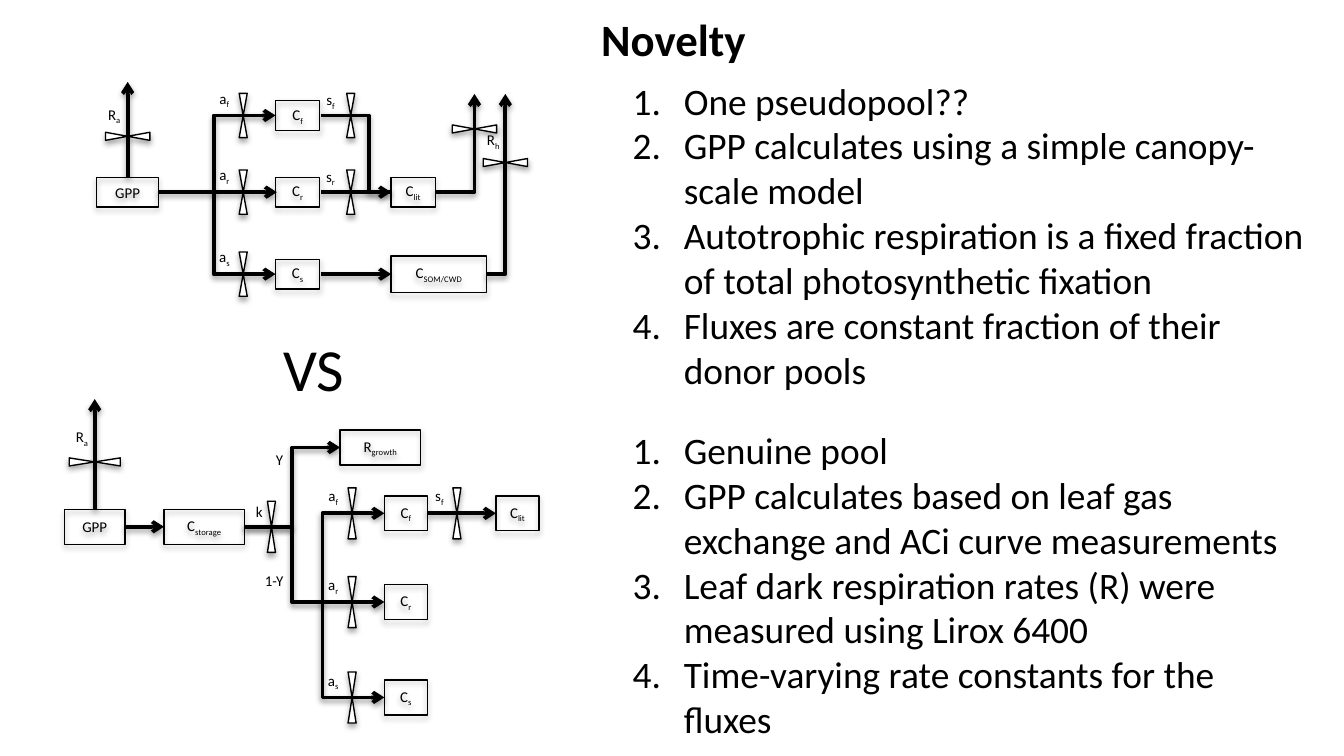
import pptx
import pptx.util
import pptx.dml.color
import pptx.enum.shapes
import pptx.enum.text
import pptx.oxml
from lxml import etree
from pptx.oxml.ns import qn

Inches, Pt = pptx.util.Inches, pptx.util.Pt
SHAPE = pptx.enum.shapes.MSO_SHAPE
CONN = pptx.enum.shapes.MSO_CONNECTOR
ALIGN = pptx.enum.text.PP_ALIGN
ANCHOR = pptx.enum.text.MSO_ANCHOR
COLORS = {"ink": "000000", "valve": "FFFFFF"}
FONT = "Calibri"


def rgb(name):
    return pptx.dml.color.RGBColor.from_string(COLORS[name])


def style(font, size, bold=False):
    font.name, font.size, font.bold = FONT, Pt(size), bold
    font.color.rgb = rgb("ink")


def outline(s, width):
    s.line.color.rgb = rgb("ink")
    s.line.width = Pt(width)


def add_shadow(s, alpha, dist):
    effects = etree.SubElement(s._element.spPr, qn("a:effectLst"))
    shadow = etree.SubElement(effects, qn("a:outerShdw"), blurRad=str(Pt(3.1)),
                              dist=str(Pt(dist)), dir="5400000", rotWithShape="0")
    color = etree.SubElement(shadow, qn("a:srgbClr"), val=COLORS["ink"])
    etree.SubElement(color, qn("a:alpha"), val=str(alpha * 1000))


def write_symbol(s, symbol):
    """Centre a symbol such as C_f, where _ starts the subscript."""
    tf = s.text_frame
    tf.margin_left = tf.margin_right = tf.margin_top = tf.margin_bottom = 0
    tf.word_wrap = False
    tf.vertical_anchor = ANCHOR.MIDDLE
    p = tf.paragraphs[0]
    p.alignment = ALIGN.CENTER
    for i, part in enumerate(symbol.split("_")):
        r = p.add_run()
        r.text = part
        style(r.font, 8)
        if i:
            r.font._element.set("baseline", "-25000")


class Diagram:
    """A grouped flow diagram; positions are inches from its top left corner."""

    def __init__(self, slide, x, y, box_h, valve_len):
        self.sp = slide.shapes.add_group_shape().shapes
        self.x, self.y = x, y
        self.box_h, self.valve_len = box_h, valve_len

    def at(self, x, y):
        return Inches(self.x + x), Inches(self.y + y)

    def pool(self, symbol, x, cy, w, h=None):
        h = h or self.box_h
        s = self.sp.add_shape(SHAPE.RECTANGLE, *self.at(x, cy - h / 2), Inches(w), Inches(h))
        s.fill.background()
        outline(s, 0.75)
        add_shadow(s, 35, 1.8)
        write_symbol(s, symbol)

    def valve(self, cx, cy, rotation=0):
        w, h = 0.06, self.valve_len
        s = self.sp.add_shape(SHAPE.FLOWCHART_COLLATE, *self.at(cx - w / 2, cy - h / 2),
                              Inches(w), Inches(h))
        s.rotation = rotation
        s.fill.solid()
        s.fill.fore_color.rgb = rgb("valve")
        outline(s, 0.75)
        add_shadow(s, 35, 1.8)

    def label(self, symbol, cx, cy):
        w, h = 0.3, 0.2
        s = self.sp.add_textbox(*self.at(cx - w / 2, cy - h / 2), Inches(w), Inches(h))
        write_symbol(s, symbol)

    def flow(self, x1, y1, x2, y2, kind=CONN.STRAIGHT, arrow=True):
        c = self.sp.add_connector(kind, *self.at(x1, y1), *self.at(x2, y2))
        outline(c, 2)
        if arrow:
            etree.SubElement(c.line._get_or_add_ln(), qn("a:tailEnd"), type="arrow")
        add_shadow(c, 38, 1.6)
        return c

    def elbow(self, x1, y1, x2, y2, turn, arrow=True):
        """Go across, then along y at the share turn of the width, then across."""
        c = self.flow(x1, y1, x2, y2, CONN.ELBOW, arrow)
        guides = c._element.spPr.prstGeom.get_or_add_avLst()
        etree.SubElement(guides, qn("a:gd"), name="adj1", fmla=f"val {round(turn * 100000)}")

    def corner(self, x1, y1, x2, y2):
        """Go across, then up or down."""
        c = self.flow(x1, y1, x2, y2, CONN.ELBOW)
        c._element.spPr.prstGeom.set("prst", "bentConnector2")
        return c

    def upright_corner(self, x1, y1, x2, y2):
        """Go up or down, then across: a corner turned by a quarter."""
        cx, cy = (x1 + x2) / 2, (y1 + y2) / 2
        half_w, half_h = abs(y2 - y1) / 2, (x2 - x1) / 2
        down = y2 > y1
        if down:
            half_h = -half_h
        c = self.corner(cx + half_w, cy + half_h, cx - half_w, cy - half_h)
        c._element.spPr.find(qn("a:xfrm")).set("rot", str((270 if down else 90) * 60000))

    def respiration(self, cy, w):
        """GPP with the autotrophic respiration arrow rising from it."""
        x, top = 0.05 + w / 2, cy - self.box_h / 2
        self.pool("GPP", 0.05, cy, w)
        self.flow(x, top, x, 0)
        self.label("R_a", 0.18, top * 0.35)
        self.valve(x, top * 0.57, 90)

    def allocation(self, trunk, rows, pool_w):
        """Foliage, root and stem pools branching off a vertical trunk."""
        end = trunk + 0.46
        for part, y in zip("frs", rows):
            if y != rows[1]:
                self.upright_corner(trunk, rows[1], end, y)
            self.pool(f"C_{part}", end, y, pool_w)
            self.valve(trunk + 0.22, y)
            self.label(f"a_{part}", trunk + 0.08, y - 0.12)


def pseudopool_diagram(slide, x, y):
    d = Diagram(slide, x, y, box_h=0.22, valve_len=0.33)
    rows = f, r, s = 0.25, 0.82, 1.43
    d.respiration(r, 0.46)
    d.flow(0.51, r, 1.39, r)
    d.allocation(0.92, rows, 0.33)
    # Litter and soil pools
    d.flow(1.72, r, 2.24, r)
    d.elbow(1.72, f, 2.24, r, 0.68, arrow=False)
    d.flow(1.72, s, 2.24, s)
    d.pool("C_lit", 2.24, r, 0.33)
    d.pool("C_SOM/CWD", 2.24, s, 0.71, 0.27)
    for part, cy in (("f", f), ("r", r)):
        d.valve(1.94, cy)
        d.label(f"s_{part}", 1.79, cy - 0.11)
    # Heterotrophic respiration
    d.corner(2.57, r, 2.86, 0.09)
    d.corner(2.95, s, 3.09, 0.09)
    d.valve(2.86, 0.35, 90)
    d.valve(3.09, 0.6, 90)
    d.label("R_h", 3, 0.44)


def storage_diagram(slide, x, y):
    d = Diagram(slide, x, y, box_h=0.26, valve_len=0.38)
    rows = f, r, _ = 0.85, 1.51, 2.22
    mid, growth = 0.95, 0.36
    d.respiration(mid, 0.45)
    # Storage pool, split into growth respiration and allocation
    d.flow(0.5, mid, 0.79, mid)
    d.pool("C_storage", 0.79, mid, 0.6)
    d.elbow(1.39, mid, 2.1, growth, 0.5)
    d.elbow(1.39, mid, 2.43, r, 0.34)
    d.valve(1.59, mid)
    d.label("k", 1.5, 0.84)
    d.label("Y", 1.65, 0.45)
    d.label("1-Y", 1.61, 1.35)
    d.pool("R_growth", 2.1, growth, 0.6)
    d.allocation(1.97, rows, 0.32)
    # Litter
    d.flow(2.75, f, 3.26, f)
    d.valve(2.97, f)
    d.label("s_f", 2.84, f - 0.12)
    d.pool("C_lit", 3.26, f, 0.32)


def numbered_list(slide, x, y, w, h, items):
    tf = slide.shapes.add_textbox(Inches(x), Inches(y), Inches(w), Inches(h)).text_frame
    tf.word_wrap = True
    for i, item in enumerate(items):
        p = tf.add_paragraph() if i else tf.paragraphs[0]
        p.text = item
        pPr = p._p.get_or_add_pPr()
        pPr.set("marL", str(Inches(0.38)))
        pPr.set("indent", str(-Inches(0.38)))
        etree.SubElement(pPr, qn("a:buFont"), typeface="+mj-lt")
        etree.SubElement(pPr, qn("a:buAutoNum"), type="arabicPeriod")
        style(p.runs[0].font, 20)


def title(slide, x, y, w, h):
    s = slide.shapes.title
    s.left, s.top, s.width, s.height = (Inches(v) for v in (x, y, w, h))
    tf = s.text_frame
    tf.text = "Novelty"
    tf.vertical_anchor = ANCHOR.TOP
    tf.paragraphs[0].alignment = ALIGN.CENTER
    style(tf.paragraphs[0].runs[0].font, 24, bold=True)


def versus(slide, x, y, w, h):
    tf = slide.shapes.add_textbox(Inches(x), Inches(y), Inches(w), Inches(h)).text_frame
    tf.word_wrap = True
    tf.text = "VS"
    style(tf.paragraphs[0].runs[0].font, 32)


def main():
    prs = pptx.Presentation()
    prs.slide_width = Inches(10)
    prs.slide_height = prs.slide_width * 9 // 16
    slide = prs.slides.add_slide(prs.slide_layouts[5])
    title(slide, 0.22, 0.04, 9.58, 0.49)
    numbered_list(slide, 4.61, 0.53, 5.2, 2.46, [
        "One pseudopool??",
        "GPP calculates using a simple canopy-scale model",
        "Autotrophic respiration is a fixed fraction of total photosynthetic fixation",
        "Fluxes are constant fraction of their donor pools"])
    pseudopool_diagram(slide, 0.67, 0.61)
    versus(slide, 2.01, 2.42, 0.87, 0.64)
    numbered_list(slide, 4.61, 3.13, 5.2, 2.46, [
        "Genuine pool",
        "GPP calculates based on leaf gas exchange and ACi curve measurements",
        "Leaf dark respiration rates (R) were measured using Lirox 6400",
        "Time-varying rate constants for the fluxes"])
    storage_diagram(slide, 0.43, 2.97)
    prs.save("out.pptx")


if __name__ == "__main__":
    main()
